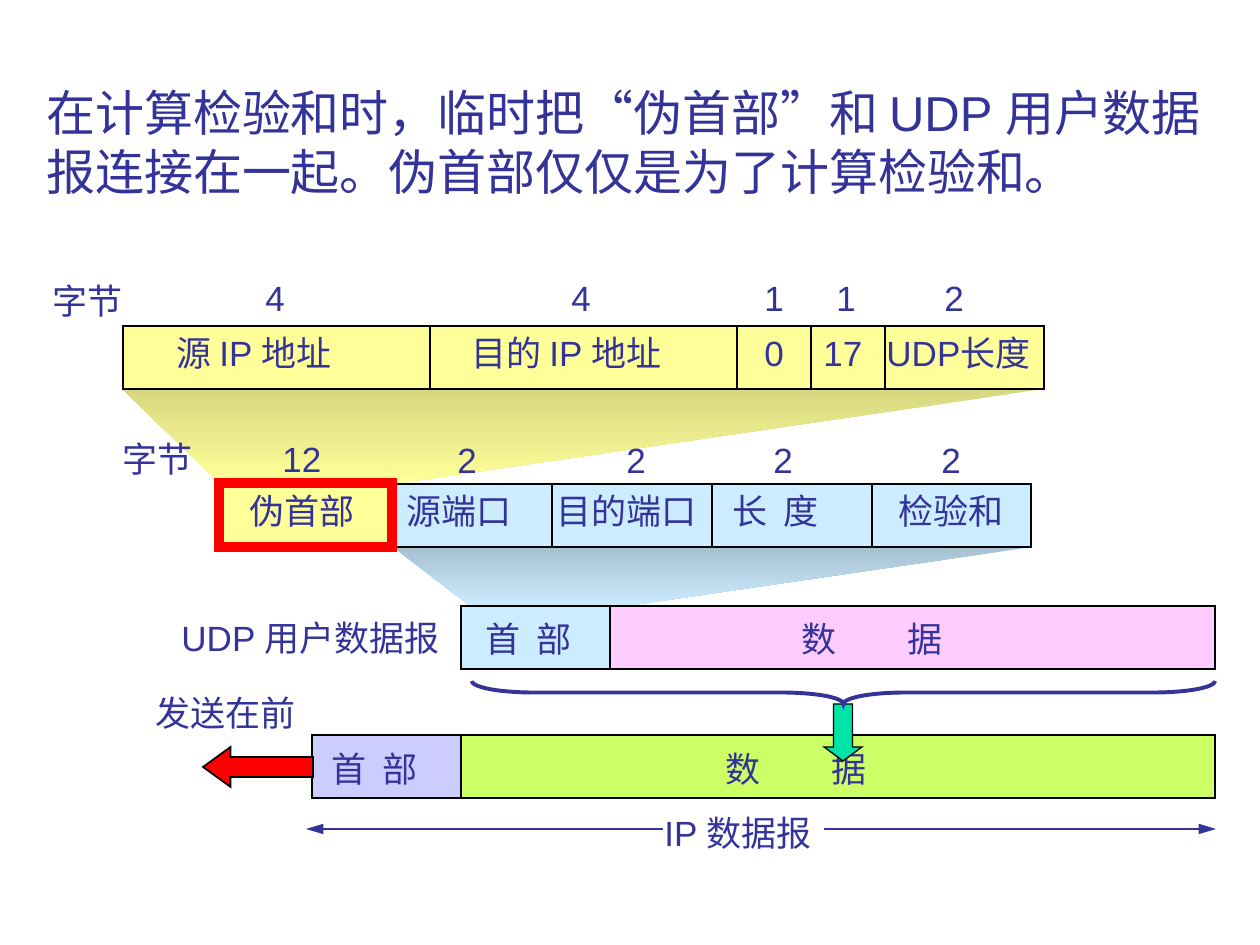
from dataclasses import dataclass
from typing import Optional

import pptx
import pptx.dml.color
import pptx.enum.dml
import pptx.enum.shapes
import pptx.enum.text
import pptx.oxml.ns
import pptx.util
from lxml import etree

PX = 914400 / 126
SHAPE = pptx.enum.shapes.MSO_SHAPE
qn = pptx.oxml.ns.qn
COLORS = {
    "ink": "333399", "black": "000000", "white": "FFFFFF", "red": "FF0000",
    "yellow": "FFFF99", "dark_yellow": "D7D781", "blue": "CCECFF",
    "dark_blue": "A6C0D0", "lilac": "CCCCFF", "pink": "FFCCFF",
    "lime": "CCFF66", "green": "00E4A8",
}


@dataclass
class Box:
    x: int
    y: int
    w: int
    h: int
    fill: Optional[str] = None
    line: Optional[str] = "black"
    width: float = 1.5
    kind: int = SHAPE.RECTANGLE
    adj: tuple[float, ...] = ()
    rotation: int = 0


@dataclass
class Fan:
    points: list[tuple[int, int]]
    top: str
    bottom: str


@dataclass
class Label:
    x: int
    w: int
    text: str
    tab: int = 0


def emu(px: float) -> int:
    return round(px * PX)


def rgb(name: str) -> pptx.dml.color.RGBColor:
    return pptx.dml.color.RGBColor.from_string(COLORS[name])


def style(sp, fill: Optional[str], line: Optional[str], width: float) -> None:
    sp.shadow.inherit = False
    if fill:
        sp.fill.solid()
        sp.fill.fore_color.rgb = rgb(fill)
    else:
        sp.fill.background()
    if line:
        sp.line.color.rgb = rgb(line)
        sp.line.width = pptx.util.Pt(width)
        ln = sp.element.find(qn("p:spPr")).find(qn("a:ln"))
        etree.SubElement(ln, qn("a:miter"), lim="800000")
    else:
        sp.line.fill.background()


def draw_box(s, b: Box) -> None:
    sp = s.shapes.add_shape(b.kind, emu(b.x), emu(b.y), emu(b.w), emu(b.h))
    style(sp, b.fill, b.line, b.width)
    for i, value in enumerate(b.adj):
        sp.adjustments[i] = value
    sp.rotation = b.rotation


def draw_outline(s, points: list[tuple[int, int]], close: bool):
    (x, y), *rest = [(emu(px), emu(py)) for px, py in points]
    fb = s.shapes.build_freeform(x, y)
    fb.add_line_segments(rest, close=close)
    return fb.convert_to_shape()


def draw_fan(s, fan: Fan) -> None:
    sp = draw_outline(s, fan.points, True)
    style(sp, None, None, 0)
    sp.fill.gradient()
    sp.fill.gradient_angle = 270
    for stop, name in zip(sp.fill.gradient_stops, (fan.top, fan.bottom)):
        stop.color.rgb = rgb(name)


def draw_line(s, x1: int, y1: int, x2: int, y2: int, color: str, arrows: bool = False) -> None:
    c = s.shapes.add_connector(pptx.enum.shapes.MSO_CONNECTOR.STRAIGHT,
                               emu(x1), emu(y1), emu(x2), emu(y2))
    c.line.color.rgb = rgb(color)
    c.line.width = pptx.util.Pt(0.75)
    sppr = c.element.find(qn("p:spPr"))
    if arrows:
        for end in ("a:headEnd", "a:tailEnd"):
            etree.SubElement(sppr.find(qn("a:ln")), qn(end), type="triangle", w="med", len="lg")
    etree.SubElement(sppr, qn("a:effectLst"))


def draw_row(s, box: Box, dividers: list[int]) -> None:
    draw_box(s, box)
    for x in dividers:
        draw_line(s, x, box.y, x, box.y + box.h, "black")


def format_run(r, size: int, font: str) -> None:
    r.font.size = pptx.util.Pt(size)
    r.font.name = font
    r.font.color.rgb = rgb("ink")


def draw_label(s, label: Label, y: int) -> None:
    tf = s.shapes.add_textbox(emu(label.x), emu(y), emu(label.w), emu(55)).text_frame
    tf.word_wrap = False
    tf.text = label.text
    p = tf.paragraphs[0]
    if label.tab:
        tabs = etree.SubElement(p._p.get_or_add_pPr(), qn("a:tabLst"))
        etree.SubElement(tabs, qn("a:tab"), pos=str(emu(label.tab)), algn="l")
    format_run(p.runs[0], 20, "Arial")


NARROW, WIDE = 51, 106  # tab stops between the two characters of a name
BYTES = "字节"

# Labels by the top of their row
LABELS = {
    273: [Label(40, 98, BYTES)],
    270: [Label(253, 46, "4"), Label(559, 46, "4"), Label(752, 46, "1"),
          Label(824, 46, "1"), Label(932, 46, "2")],
    325: [Label(164, 210, "源 IP 地址"), Label(459, 245, "目的 IP 地址"),
          Label(752, 46, "0"), Label(811, 67, "17"), Label(874, 182, "UDP长度")],
    431: [Label(110, 98, BYTES), Label(270, 67, "12")],
    432: [Label(x, 46, "2") for x in (445, 614, 761, 929)],
    483: [Label(237, 134, "伪首部"), Label(394, 134, "源端口"),
          Label(544, 170, "目的端口"), Label(720, 134, "长\t度", NARROW),
          Label(886, 134, "检验和")],
    610: [Label(169, 296, "UDP 用户数据报")],
    611: [Label(473, 134, "首\t部", NARROW), Label(789, 253, "数\t据", WIDE)],
    685: [Label(143, 170, "发送在前")],
    741: [Label(319, 134, "首\t部", NARROW), Label(713, 253, "数\t据", WIDE)],
    805: [Label(652, 185, "IP 数据报")],
}


def main() -> None:
    prs = pptx.Presentation()
    prs.slide_width, prs.slide_height = emu(1260), emu(945)
    s = prs.slides.add_slide(prs.slide_layouts[6])

    # Fans that join a row to the part it enlarges
    draw_fan(s, Fan([(393, 547), (1031, 547), (626, 606), (469, 605)], "dark_blue", "blue"))
    draw_fan(s, Fan([(122, 389), (1043, 389), (393, 484), (221, 484)], "dark_yellow", "yellow"))

    # Pseudo header and UDP header rows
    draw_row(s, Box(123, 326, 921, 63, "yellow"), [430, 737, 811, 885])
    draw_row(s, Box(392, 484, 639, 63, "blue"), [392 + 160 * i for i in (1, 2, 3)])
    sp = draw_outline(s, [(393, 547), (221, 547), (221, 484), (393, 484)], False)
    style(sp, "yellow", "black", 1.5)
    sp.line.dash_style = pptx.enum.dml.MSO_LINE.DASH

    # UDP datagram, IP datagram and sending direction
    for box in (
        Box(461, 606, 149, 63, "blue", width=1),
        Box(610, 606, 605, 63, "pink", width=1),
        Box(312, 735, 149, 63, "lilac"),
        Box(461, 735, 754, 63, "lime"),
        Box(203, 747, 110, 40, "red", width=1, kind=SHAPE.LEFT_ARROW, adj=(0.5, 0.69)),
    ):
        draw_box(s, box)

    # Length of the IP datagram
    draw_line(s, 306, 829, 1216, 829, "ink", arrows=True)
    draw_box(s, Box(663, 808, 161, 40, "white", None))

    for y, labels in LABELS.items():
        for label in labels:
            draw_label(s, label, y)

    # Encapsulation arrow, brace and pseudo header frame
    for box in (
        Box(824, 704, 38, 57, "green", width=0.75, kind=SHAPE.DOWN_ARROW, adj=(0.5, 0.37)),
        Box(832, 321, 23, 743, None, "ink", 2.25, SHAPE.LEFT_BRACE, (2.68, 0.5), 270),
        Box(219, 483, 173, 64, None, "red", 6),
    ):
        draw_box(s, box)

    # Title
    tf = s.shapes.add_textbox(emu(34), emu(76), emu(1196), emu(131)).text_frame
    tf.word_wrap = True
    tf.text = "在计算检验和时，临时把“伪首部”和 UDP 用户数据报连接在一起。"
    p = tf.paragraphs[0]
    p.add_run().text = "伪首部仅仅是为了计算检验和。"
    for r, font in zip(p.runs, ("Arial", "Karla")):
        format_run(r, 28, font)

    prs.save("out.pptx")


if __name__ == "__main__":
    main()
